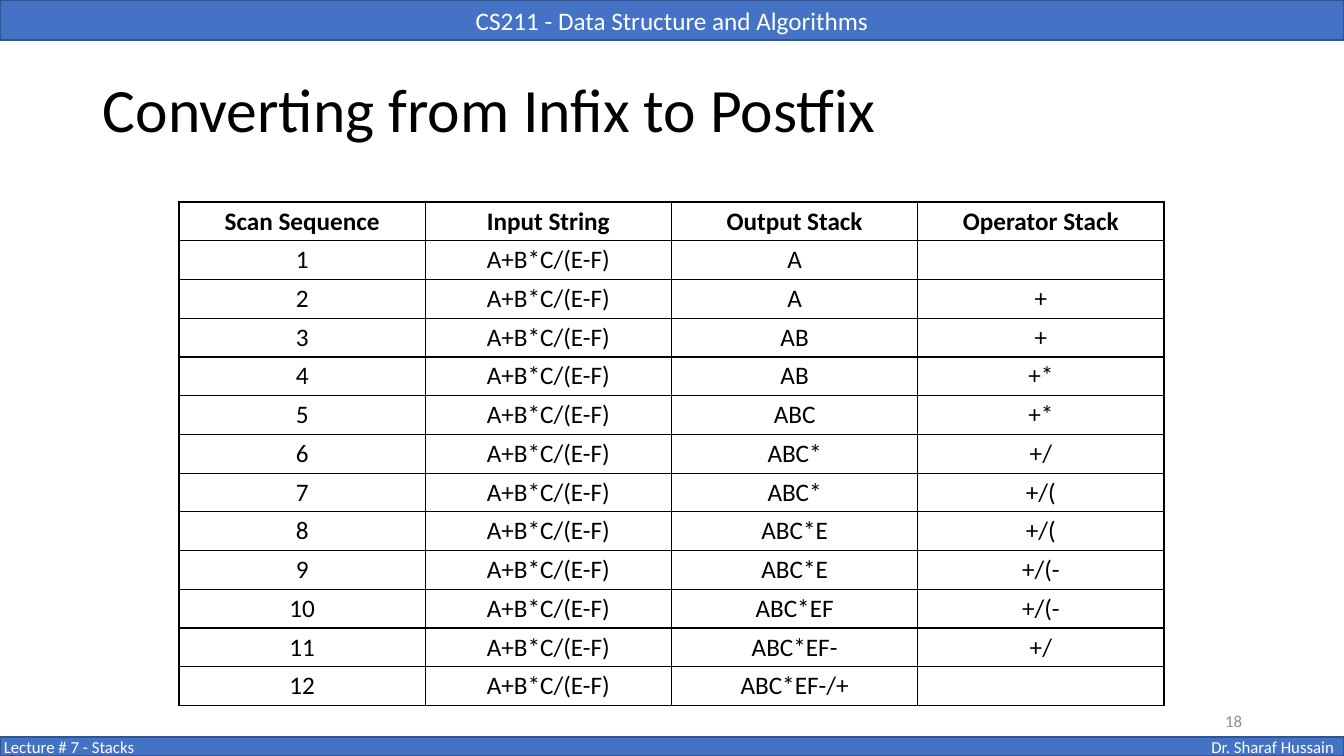
from lxml.etree import SubElement
from pptx import Presentation
from pptx.dml.color import RGBColor
from pptx.enum.shapes import MSO_SHAPE as Shape
from pptx.enum.text import MSO_ANCHOR as Anchor, PP_ALIGN as Align
from pptx.oxml.ns import qn
from pptx.util import Pt

PX = 12192000 / 1344  # EMU per px
BLUE = RGBColor(0x44, 0x72, 0xC4)
DARK_BLUE = RGBColor(0x32, 0x54, 0x91)
WHITE = RGBColor(0xFF, 0xFF, 0xFF)
BLACK = RGBColor(0x00, 0x00, 0x00)
GRAY = RGBColor(0x8C, 0x8C, 0x8C)
FONT = "Calibri"

EXPRESSION = "A+B*C/(E-F)"
HEADINGS = ["Scan Sequence", "Input String", "Output Stack", "Operator Stack"]
# Output stack and operator stack after each scan step
STEPS = [
    ("A", ""), ("A", "+"), ("AB", "+"), ("AB", "+*"), ("ABC", "+*"),
    ("ABC*", "+/"), ("ABC*", "+/("), ("ABC*E", "+/("), ("ABC*E", "+/(-"),
    ("ABC*EF", "+/(-"), ("ABC*EF-", "+/"), ("ABC*EF-/+", ""),
]


def emu(*lengths):
    return [round(length * PX) for length in lengths]


def write(frame, text, size, color, align=Align.LEFT, bold=False):
    paragraph = frame.paragraphs[0]
    paragraph.alignment = align
    run = paragraph.add_run()
    run.text = text
    formats = {"name": FONT, "size": Pt(size), "bold": bold}
    for name, value in formats.items():
        setattr(run.font, name, value)
    run.font.color.rgb = color
    return paragraph


def add_bar(slide, box, text, size, align):
    bar = slide.shapes.add_shape(Shape.RECTANGLE, *emu(*box))
    bar.shadow.inherit = False
    bar.fill.solid()
    bar.fill.fore_color.rgb = BLUE
    bar.line.color.rgb = DARK_BLUE
    bar.line.width = Pt(1)
    bar.text_frame.vertical_anchor = Anchor.MIDDLE
    write(bar.text_frame, text, size, WHITE, align)


def add_text(slide, box, text, size, color, align=Align.LEFT,
             anchor=Anchor.MIDDLE, wrap=True):
    frame = slide.shapes.add_textbox(*emu(*box)).text_frame
    frame.word_wrap = wrap
    frame.vertical_anchor = anchor
    return write(frame, text, size, color, align)


def set_borders(cell):
    properties = cell._tc.get_or_add_tcPr()
    # Borders come before the fill in the cell properties
    for index, side in enumerate(("lnL", "lnR", "lnT", "lnB")):
        line = SubElement(properties, qn(f"a:{side}"), w=str(Pt(1)))
        fill = SubElement(line, qn("a:solidFill"))
        SubElement(fill, qn("a:srgbClr"), val=str(BLACK))
        properties.insert(index, line)


def add_stack_table(slide, box):
    rows = [HEADINGS] + [
        (str(number), EXPRESSION, output, operators)
        for number, (output, operators) in enumerate(STEPS, 1)
    ]
    table = slide.shapes.add_table(len(rows), len(HEADINGS), *emu(*box)).table
    table.first_row = table.horz_banding = False
    margin_x, margin_y = emu(8, 4)
    cell_formats = {
        "margin_left": margin_x, "margin_right": margin_x,
        "margin_top": margin_y, "margin_bottom": margin_y,
        "vertical_anchor": Anchor.MIDDLE,
    }
    for row_index, row in enumerate(rows):
        for column_index, text in enumerate(row):
            cell = table.cell(row_index, column_index)
            for name, value in cell_formats.items():
                setattr(cell, name, value)
            cell.fill.background()
            set_borders(cell)
            if text:
                write(cell.text_frame, text, 18, BLACK, Align.CENTER,
                      bold=row_index == 0)


def add_frame(slide, width, height):
    # Course bar, lecture bar and lecture name
    add_bar(slide, (0, 0, width, 40), "CS211 - Data Structure and Algorithms",
            18, Align.CENTER)
    add_bar(slide, (0, height - 19, width, 19), "Dr. Sharaf Hussain",
            12, Align.RIGHT)
    add_text(slide, (-6, height - 24, 152, 30), "Lecture # 7 - Stacks",
             12, WHITE, anchor=Anchor.TOP, wrap=False)


def main():
    presentation = Presentation()
    presentation.slide_width, presentation.slide_height = emu(1344, 756)
    slide = presentation.slides.add_slide(presentation.slide_layouts[6])

    add_frame(slide, 1344, 756)
    title = add_text(slide, (93, 40, 1159, 146),
                     "Converting from Infix to Postfix", 44, BLACK)
    title.line_spacing = 0.9
    add_text(slide, (950, 701, 302, 40), "18", 12, GRAY, Align.RIGHT)
    add_stack_table(slide, (179, 202, 985, 504))

    presentation.save("out.pptx")


if __name__ == "__main__":
    main()
